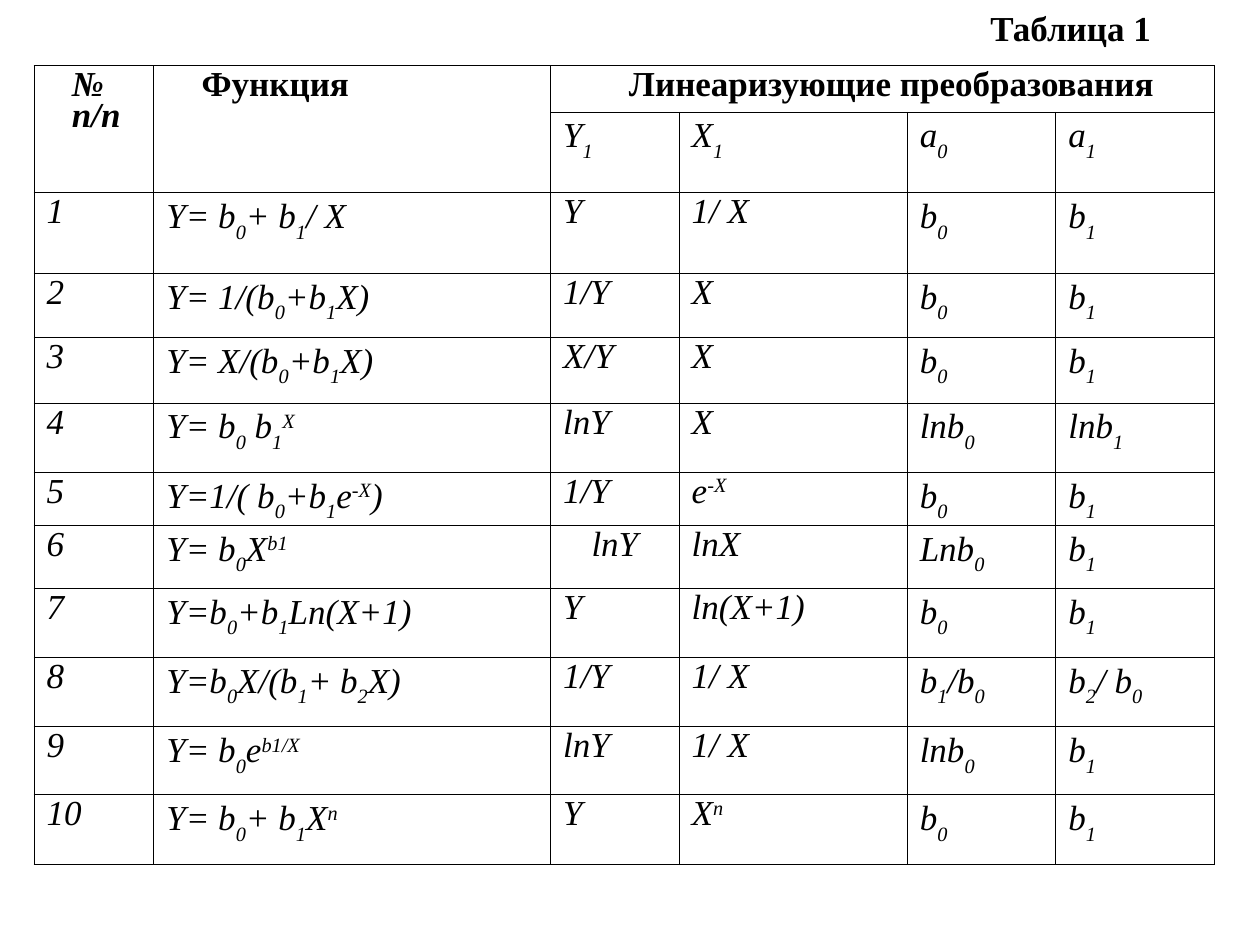
from lxml import etree
from pptx import Presentation
from pptx.dml.color import RGBColor
from pptx.enum import text as txt
from pptx.oxml import ns
from pptx.util import Inches, Pt

BLACK = RGBColor(0x00, 0x00, 0x00)
FONT = "Times New Roman"
HANGING = 0.38

COLUMN_WIDTHS = [0.95, 3.15, 1.02, 1.81, 1.18, 1.26]
ROW_HEIGHTS = [0.37, 0.64, 0.64, 0.51, 0.52, 0.55, 0.42, 0.5, 0.55, 0.55, 0.54, 0.55]

# Subscripts stand between underscores, superscripts between carets
SYMBOLS = ["Y_1_", "X_1_", "a_0_", "a_1_"]
FUNCTIONS = [
    ("Y= b_0_+ b_1_/ X", "Y", "1/ X", "b_0_", "b_1_"),
    ("Y= 1/(b_0_+b_1_X)", "1/Y", "X", "b_0_", "b_1_"),
    ("Y= X/(b_0_+b_1_X)", "X/Y", "X", "b_0_", "b_1_"),
    ("Y= b_0_ b_1_^X^", "lnY", "X", "lnb_0_", "lnb_1_"),
    ("Y=1/( b_0_+b_1_e^-X^)", "1/Y", "e^-X^", "b_0_", "b_1_"),
    ("Y= b_0_X^b1^", "lnY", "lnX", "Lnb_0_", "b_1_"),
    ("Y=b_0_+b_1_Ln(X+1)", "Y", "ln(X+1)", "b_0_", "b_1_"),
    ("Y=b_0_X/(b_1_+ b_2_X)", "1/Y", "1/ X", "b_1_/b_0_", "b_2_/ b_0_"),
    ("Y= b_0_e^b1/X^", "lnY", "1/ X", "lnb_0_", "b_1_"),
    ("Y= b_0_+ b_1_X^n^", "Y", "X^n^", "b_0_", "b_1_"),
]
CENTERED_FORMULA = (7, 2)


def split_formula(formula):
    """Yield (piece, baseline shift in percent) for the marked-up formula."""
    for i, part in enumerate(formula.split("_")):
        if i % 2:
            yield part, -30
            continue
        for j, piece in enumerate(part.split("^")):
            if piece:
                yield piece, 30 if j % 2 else 0


def write(frame, content, *, bold=False, italic=False, spacing=0.8, margin=HANGING,
          indent=-HANGING, align=txt.PP_ALIGN.JUSTIFY):
    for i, line in enumerate(content.split("\n")):
        paragraph = frame.paragraphs[0] if i == 0 else frame.add_paragraph()
        paragraph.alignment = align
        paragraph.line_spacing = spacing
        paragraph.space_before = Pt(0)
        properties = paragraph._p.get_or_add_pPr()
        properties.set("marL", str(Inches(margin)))
        properties.set("indent", str(Inches(indent)))
        for piece, shift in split_formula(line):
            run = paragraph.add_run()
            run.text = piece
            run.font.name = FONT
            run.font.size = Pt(20)
            run.font.bold = bold
            run.font.italic = italic
            run.font.color.rgb = BLACK
            if shift:
                run.font._element.set("baseline", str(shift * 1000))


def format_cell(cell):
    cell.margin_left = cell.margin_right = Inches(0.1)
    cell.margin_top = cell.margin_bottom = Inches(0.05)
    cell.fill.background()
    properties = cell._tc.get_or_add_tcPr()
    for position, side in enumerate(("lnL", "lnR", "lnT", "lnB")):
        border = etree.Element(ns.qn(f"a:{side}"), w=str(Pt(0.45)))
        fill = etree.SubElement(border, ns.qn("a:solidFill"))
        etree.SubElement(fill, ns.qn("a:srgbClr"), val=str(BLACK))
        properties.insert(position, border)


def add_caption(slide, left, top, width, height):
    caption = slide.shapes.title
    caption.left, caption.top = Inches(left), Inches(top)
    caption.width, caption.height = Inches(width), Inches(height)
    frame = caption.text_frame
    frame.word_wrap = False
    frame.auto_size = txt.MSO_AUTO_SIZE.NONE
    frame.vertical_anchor = txt.MSO_ANCHOR.TOP
    write(frame, "Таблица 1", bold=True, spacing=1.0, margin=0, indent=0,
          align=txt.PP_ALIGN.LEFT)


def add_function_table(slide, left, top, width, height):
    table = slide.shapes.add_table(
        len(ROW_HEIGHTS), len(COLUMN_WIDTHS),
        Inches(left), Inches(top), Inches(width), Inches(height)).table
    table.first_row = table.horz_banding = False
    for column, size in zip(table.columns, COLUMN_WIDTHS):
        column.width = Inches(size)
    for row, size in zip(table.rows, ROW_HEIGHTS):
        row.height = Inches(size)
    for cell in table.iter_cells():
        format_cell(cell)

    # Two-level heading
    table.cell(0, 0).merge(table.cell(1, 0))
    table.cell(0, 1).merge(table.cell(1, 1))
    table.cell(0, 2).merge(table.cell(0, 5))
    write(table.cell(0, 0).text_frame, "№\nn/n", bold=True, italic=True, indent=-0.18)
    write(table.cell(0, 1).text_frame, "Функция", bold=True, indent=-0.1)
    write(table.cell(0, 2).text_frame, "Линеаризующие преобразования", bold=True,
          margin=0.14, indent=0, align=txt.PP_ALIGN.CENTER)
    for c, symbol in enumerate(SYMBOLS, start=2):
        write(table.cell(1, c).text_frame, symbol, italic=True)

    # Numbered functions
    for number, formulas in enumerate(FUNCTIONS, start=1):
        r = number + 1
        for c, formula in enumerate((str(number), *formulas)):
            centered = (r, c) == CENTERED_FORMULA
            write(table.cell(r, c).text_frame, formula, italic=True,
                  align=txt.PP_ALIGN.CENTER if centered else txt.PP_ALIGN.JUSTIFY)


def main():
    prs = Presentation()
    prs.slide_width, prs.slide_height = Inches(10), Inches(7.5)
    slide = prs.slides.add_slide(prs.slide_layouts[5])
    add_function_table(slide, 0.27, 0.52, sum(COLUMN_WIDTHS), sum(ROW_HEIGHTS))
    add_caption(slide, 7.76, 0, 1.57, 0.44)
    prs.save("out.pptx")


if __name__ == "__main__":
    main()
